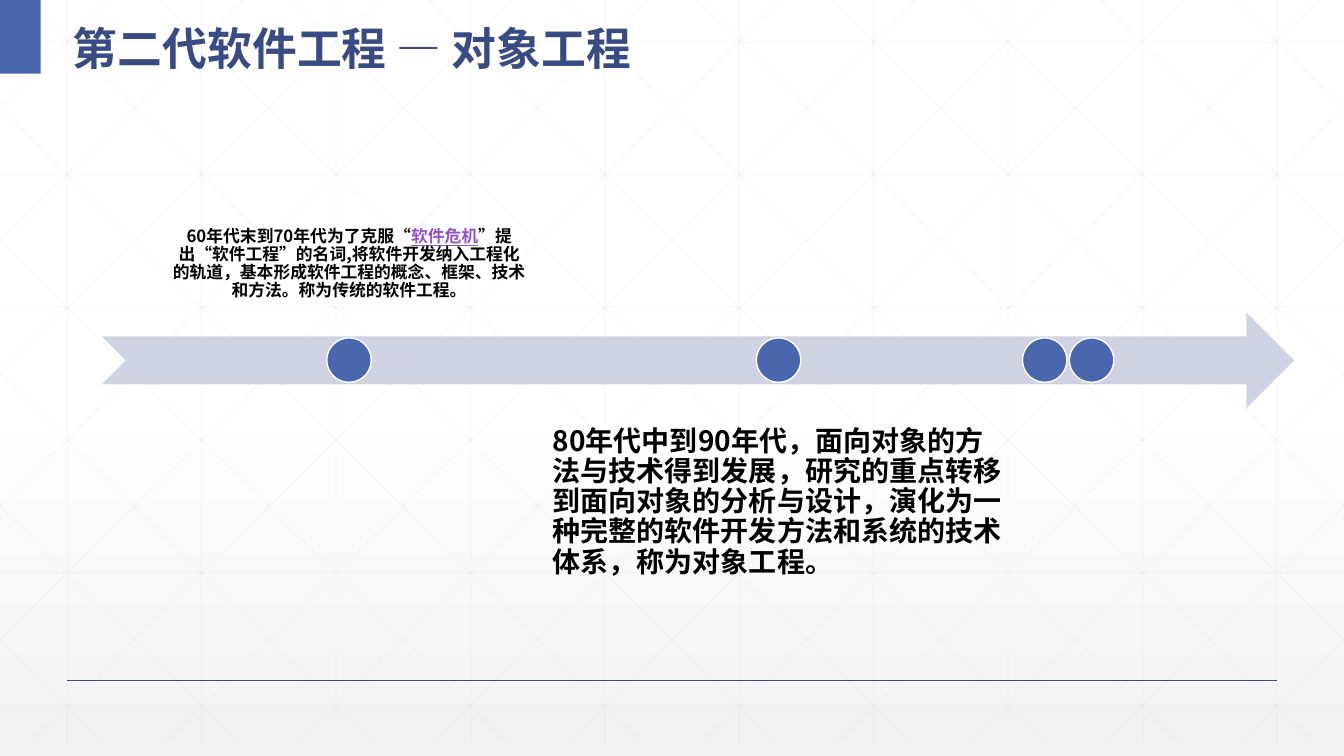
import pptx
import pptx.util
import pptx.dml.color
import pptx.enum.shapes
import pptx.enum.text
import pptx.oxml.ns
import lxml.etree

Pt = pptx.util.Pt
SHAPE = pptx.enum.shapes.MSO_SHAPE
ALIGN = pptx.enum.text.PP_ALIGN
ANCHOR = pptx.enum.text.MSO_ANCHOR
qn = pptx.oxml.ns.qn

# Content
FONT = "Noto Sans CJK SC"
COLORS = {
    "white": "FFFFFF", "fade": "F2F2F2", "grid": "D9D9D9", "navy": "384C81",
    "blue": "4A66AC", "arrow": "D0D3E3", "text": "000000", "term": "9454C3",
}
TITLE = [("第二代软件工程 — 对象工程", "navy")]
FIRST_STAGE = [
    ("60年代末到70年代为了克服“", "text"),
    ("软件危机", "term"),
    ("”提出“软件工程”的名词,将软件开发纳入工程化的轨道，"
     "基本形成软件工程的概念、框架、技术和方法。称为传统的软件工程。", "text"),
]
SECOND_STAGE = [
    ("80年代中到90年代，面向对象的方法与技术得到发展，研究的重点转移到面向对象的"
     "分析与设计，演化为一种完整的软件开发方法和系统的技术体系，称为对象工程。", "text"),
]
MILESTONES = [233.5, 540.3, 730.4, 763.9]  # left edges of the dots

# Layout
W, H = 960, 540
GRID_BOTTOM = 530.6
GRID_STEP, ROW_STEP = 96, 94.75
DIAGONAL_RUN = 536.6  # horizontal travel of a diagonal over the grid height
DOT = 31.7


def rgb(name):
    return pptx.dml.color.RGBColor.from_string(COLORS[name])


def add_line(s, x1, y1, x2, y2, color, width, opacity=None):
    c = s.shapes.add_connector(pptx.enum.shapes.MSO_CONNECTOR.STRAIGHT,
                               Pt(x1), Pt(y1), Pt(x2), Pt(y2))
    c.line.color.rgb = rgb(color)
    c.line.width = Pt(width)
    sp_pr = c._element.spPr
    if opacity is not None:
        clr = sp_pr.find(".//" + qn("a:srgbClr"))
        lxml.etree.SubElement(clr, qn("a:alpha")).set("val", str(opacity * 1000))
    lxml.etree.SubElement(sp_pr, qn("a:effectLst"))


def add_shape(s, kind, x, y, w, h, fill, line=None):
    sp = s.shapes.add_shape(kind, Pt(x), Pt(y), Pt(w), Pt(h))
    sp.shadow.inherit = False
    sp.fill.solid()
    sp.fill.fore_color.rgb = rgb(fill)
    if line:
        sp.line.color.rgb = rgb(line)
        sp.line.width = Pt(1)
    else:
        sp.line.fill.background()


def add_text(s, x, y, w, h, runs, size, spacing, inset, anchor, align=ALIGN.LEFT):
    tf = s.shapes.add_textbox(Pt(x), Pt(y), Pt(w), Pt(h)).text_frame
    tf.word_wrap = True
    tf.vertical_anchor = anchor
    tf.margin_left = tf.margin_right = tf.margin_top = tf.margin_bottom = Pt(inset)
    p = tf.paragraphs[0]
    p.alignment = align
    p.line_spacing = spacing
    for text, color in runs:
        r = p.add_run()
        r.text = text
        r.font.size = Pt(size)
        r.font.bold = True
        r.font.name = FONT
        r.font.color.rgb = rgb(color)
        if color == "term":
            r.font.underline = True
        ea = lxml.etree.SubElement(r.font._element, qn("a:ea"))
        ea.set("typeface", FONT)


def add_grid(s):
    lines = [(x, 0, x, GRID_BOTTOM) for x in range(48, W, GRID_STEP)]
    lines += [(0, 30 + ROW_STEP * i, W, 30 + ROW_STEP * i) for i in range(6)]
    # Diagonals are clipped to the slide, then mirrored left to right
    slope = GRID_BOTTOM / DIAGONAL_RUN
    for i in range(-5, 10):
        top = 18 + GRID_STEP * i
        x1, x2 = max(top, 0), min(top + DIAGONAL_RUN, W)
        y1, y2 = (x1 - top) * slope, (x2 - top) * slope
        lines += [(x1, y1, x2, y2), (W - x1, y1, W - x2, y2)]
    for ends in lines:
        add_line(s, *ends, "grid", 0.5, 25)


def main():
    prs = pptx.Presentation()
    prs.slide_width, prs.slide_height = Pt(W), Pt(H)
    s = prs.slides.add_slide(prs.slide_layouts[6])

    # Background
    fill = s.background.fill
    fill.gradient()
    fill.gradient_angle = 270
    for stop, (pos, color) in zip(fill.gradient_stops, [(0.53, "white"), (1, "fade")]):
        stop.position = pos
        stop.color.rgb = rgb(color)
    add_grid(s)
    add_line(s, 48, 486, 912, 486, "navy", 1)

    # Title
    add_shape(s, SHAPE.RECTANGLE, 0, 0, 29, 52.6, "blue")
    add_text(s, 45, 2, 526.3, 52.6, TITLE, 32, 1.3, 7.2, ANCHOR.MIDDLE)

    # Timeline
    add_shape(s, SHAPE.NOTCHED_RIGHT_ARROW, 72.7, 223.2, 851.8, 68.4, "arrow")
    for x in MILESTONES:
        add_shape(s, SHAPE.OVAL, x, 241.4, DOT, DOT, "blue", "white")
    add_text(s, 116.6, 74.9, 265.7, 146.2, FIRST_STAGE, 12, 0.9, 6.5,
             ANCHOR.BOTTOM, ALIGN.CENTER)
    add_text(s, 383.6, 293.8, 345.6, 146.2, SECOND_STAGE, 20, 0.9, 11.2, ANCHOR.TOP)

    prs.save("out.pptx")


if __name__ == "__main__":
    main()
